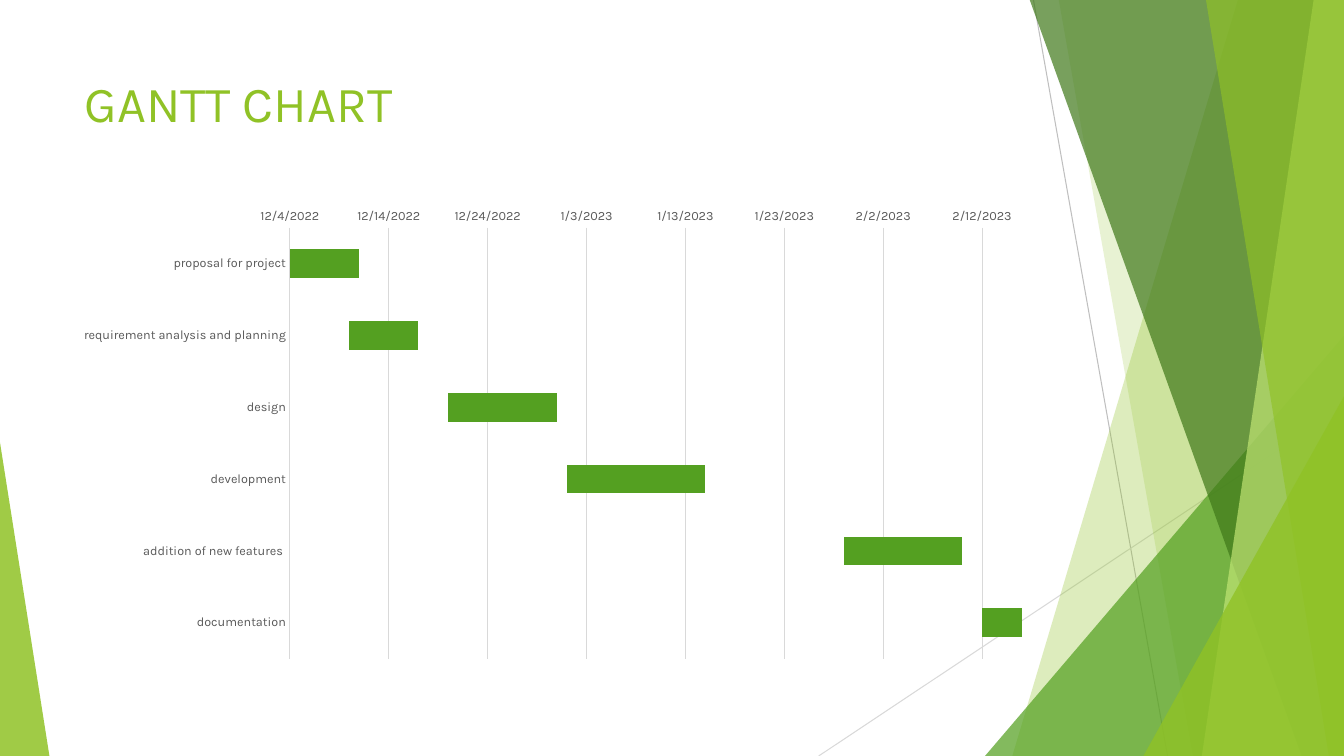
from lxml import etree
from pptx import Presentation
from pptx.chart.data import CategoryChartData
from pptx.dml.color import RGBColor
from pptx.enum.chart import XL_CHART_TYPE, XL_TICK_MARK
from pptx.enum.shapes import MSO_CONNECTOR, MSO_SHAPE
from pptx.enum.text import MSO_ANCHOR, PP_ALIGN
from pptx.oxml.ns import qn
from pptx.util import Inches, Pt

BAR = XL_CHART_TYPE.BAR_STACKED
NO_TICK = XL_TICK_MARK.NONE
STRAIGHT = MSO_CONNECTOR.STRAIGHT
TRIANGLE = MSO_SHAPE.ISOSCELES_TRIANGLE
TOP, LEFT = MSO_ANCHOR.TOP, PP_ALIGN.LEFT

FONT = "Karla"
W, H = 13.33, 7.5
COLORS = {
    "lime": "90C226", "pale": "C0E474", "green": "54A021", "forest": "3F7819",
    "text": "595959", "grid": "D9D9D9", "ray": "BFBFBF", "black": "000000",
}

# Task, start as a date serial number, duration in days
TASKS = [
    ("proposal for project", 44899, 7),
    ("requirement analysis and planning", 44905, 7),
    ("design", 44915, 11),
    ("development", 44927, 14),
    ("addition of new features ", 44955, 12),
    ("documentation", 44969, 4),
]
FIRST_DAY, LAST_DAY, DAY_STEP = 44899, 44973, 10


def rgb(name):
    return RGBColor.from_string(COLORS[name])


def paint(shape, color, opacity):
    """Flat translucent fill, without outline or shadow."""
    shape.shadow.inherit = False
    shape.line.fill.background()
    shape.fill.solid()
    shape.fill.fore_color.rgb = rgb(color)
    clr = shape.fill._xPr.find(".//" + qn("a:srgbClr"))
    etree.SubElement(clr, qn("a:alpha"), val=str(opacity * 1000))


def add_ray(s, x1, y1, x2, y2, color):
    ray = s.shapes.add_connector(STRAIGHT, *map(Inches, (x1, y1, x2, y2)))
    ray.line.color.rgb = rgb(color)
    ray.line.width = Pt(0.75)
    etree.SubElement(ray._element.spPr, qn("a:effectLst"))


def add_band(s, box, top_dx, bottom_dx, color, opacity):
    """Full-height band from a slanted left edge to the box's right edge."""
    x, y, w, h = box
    top, bottom = y - 0.01, y + h
    points = [(Inches(px), Inches(py)) for px, py in (
        (x + top_dx, top), (x + w, top), (x + w, bottom), (x + bottom_dx, bottom))]
    builder = s.shapes.build_freeform(*points[0], scale=1.0)
    builder.add_line_segments(points[1:], close=True)
    paint(builder.convert_to_shape(), color, opacity)


def add_corner(s, box, w, h, apex, color, opacity):
    """Right triangle in a bottom corner: apex 0 is left, 1 is right."""
    bx, by, bw, bh = box
    x = bx + apex * (bw - w)
    corner = s.shapes.add_shape(TRIANGLE, *map(Inches, (x, by + bh - h, w, h)))
    corner.adjustments[0] = apex
    paint(corner, color, opacity)


def add_facets(s, box):
    """Green facets on the right side, back to front."""
    x, y, w, h = box
    add_ray(s, x + 2.13, y, x + 3.46, y + h, "ray")
    add_ray(s, x + w, y + 4.03, x, y + h, "grid")
    add_band(s, box, 4.16, 1.92, "lime", 30)
    add_band(s, box, 2.38, 3.71, "lime", 20)
    add_corner(s, box, 3.56, 4.17, 1, "green", 72)
    add_band(s, box, 2.09, 4.79, "forest", 70)
    add_band(s, box, 4.91, 3.8, "pale", 70)
    add_band(s, box, 3.84, 5.06, "lime", 65)
    add_corner(s, box, 1.99, 3.57, 1, "lime", 80)


def add_title(s, box, text):
    title = s.shapes.title
    title.left, title.top, title.width, title.height = map(Inches, box)
    tf = title.text_frame
    tf.text = text
    tf.word_wrap = True
    tf.vertical_anchor = TOP
    p = tf.paragraphs[0]
    p.alignment = LEFT
    set_font(p.runs[0].font, 36, "lime")


def set_font(font, size, color):
    font.name, font.size = FONT, Pt(size)
    font.color.rgb = rgb(color)


def style_axis(axis):
    axis.major_tick_mark = axis.minor_tick_mark = NO_TICK
    set_font(axis.tick_labels.font, 9, "text")


def set_plot_layout(chart, **fractions):
    """Fix the inner plot area as fractions of the chart."""
    area = chart._chartSpace.chart.plotArea
    for old in area.findall(qn("c:layout")):
        area.remove(old)
    layout = etree.Element(qn("c:layout"))
    manual = etree.SubElement(layout, qn("c:manualLayout"))
    settings = [("layoutTarget", "inner"), ("xMode", "edge"), ("yMode", "edge")]
    for tag, val in settings + list(fractions.items()):
        etree.SubElement(manual, qn("c:" + tag), val=str(val))
    area.insert(0, layout)


def add_gantt(s, box):
    names, starts, days = zip(*TASKS)
    data = CategoryChartData()
    data.categories = names
    data.add_series("Series 1", starts)
    data.add_series("Series 2", days)
    chart = s.shapes.add_chart(BAR, *map(Inches, box), data).chart
    chart.has_legend = chart.has_title = False
    set_font(chart.font, 10, "black")
    set_plot_layout(chart, x=0.265, y=0.081, w=0.669, h=0.845)

    # Invisible offsets carry the visible durations
    plot = chart.plots[0]
    plot.gap_width, plot.overlap = 150, 100
    plot.vary_by_categories = False
    offset, duration = plot.series
    offset.format.fill.background()
    duration.format.fill.solid()
    duration.format.fill.fore_color.rgb = rgb("green")

    # Tasks run downwards, dates along the top
    tasks, dates = chart.category_axis, chart.value_axis
    style_axis(tasks)
    style_axis(dates)
    tasks.reverse_order = True
    dates.minimum_scale, dates.maximum_scale = FIRST_DAY, LAST_DAY
    dates.major_unit = DAY_STEP
    dates.tick_labels.number_format = "m/d/yyyy"
    dates.tick_labels.number_format_is_linked = False
    dates.format.line.fill.background()
    dates.has_major_gridlines = True
    for line in (tasks.format.line, dates.major_gridlines.format.line):
        line.color.rgb = rgb("grid")
        line.width = Pt(0.75)


prs = Presentation()
prs.slide_width, prs.slide_height = Inches(W), Inches(H)
s = prs.slides.add_slide(prs.slide_layouts[5])

add_facets(s, (8.12, 0, W - 8.12, H))
add_corner(s, (0, 0, W, H), 0.49, 3.11, 0, "lime", 85)
add_title(s, (0.74, 0.67, 9.4, 1.44), "GANTT CHART")
add_gantt(s, (0, 1.85, 10.85, 5.06))

prs.save("out.pptx")
